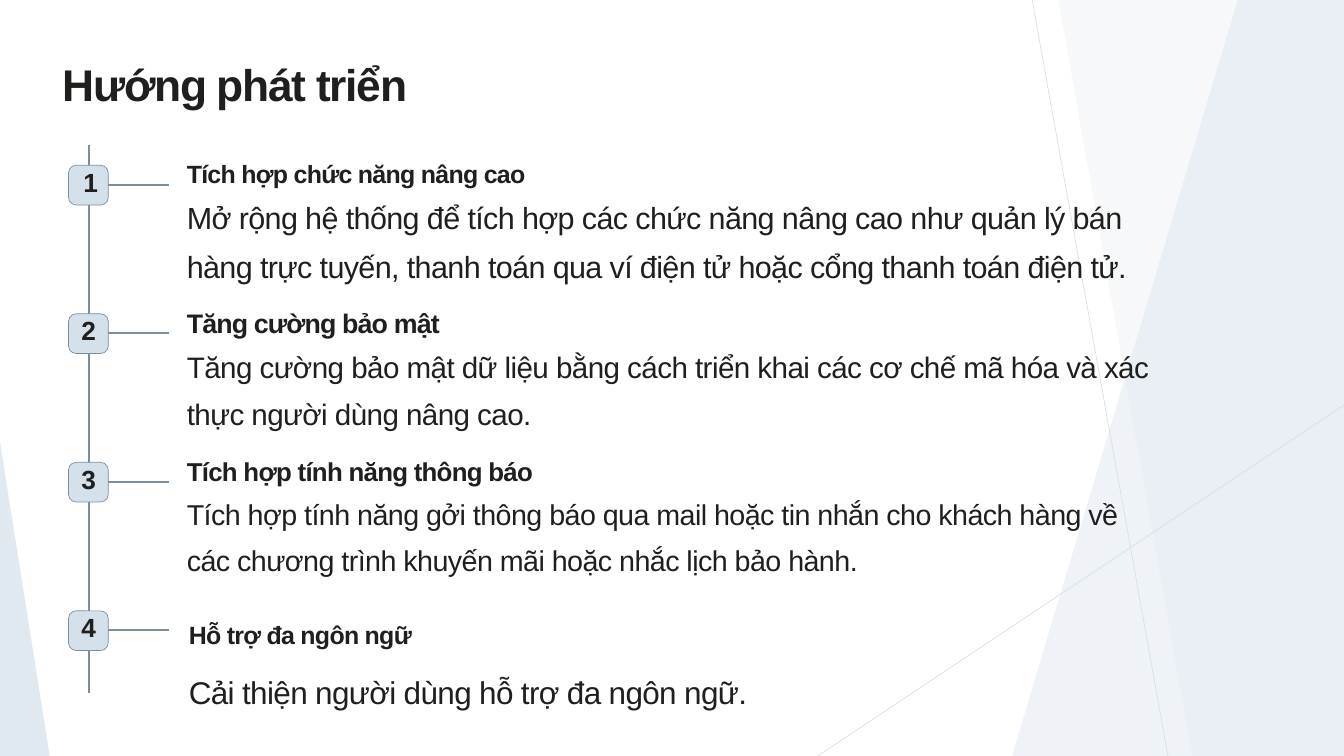
"""Build the "Hướng phát triển" timeline slide."""
from dataclasses import dataclass

from lxml import etree
from pptx import Presentation
from pptx.dml.color import RGBColor
from pptx.enum import shapes, text
from pptx.oxml import ns
from pptx.util import Pt

EMU_PER_PX = 9144
WIDTH, HEIGHT = 2000, 1125
FONT = "Arial"
INK = RGBColor(0x1F, 0x1F, 0x1E)
PALE = RGBColor(0xD4, 0xE0, 0xEA)
SLATE = RGBColor(0x7A, 0x8E, 0x9F)

AXIS_X = 132
FIRST_BADGE_TOP, BADGE_STEP = 246, 221
BADGE_LEFT, BADGE_SIZE = 102, 59
BRANCH_END = 251


@dataclass(frozen=True)
class Box:
    left: int
    top: int
    width: int
    height: int

    def emu(self) -> list[int]:
        """Return the box as EMU lengths."""
        return [px(n) for n in (self.left, self.top, self.width, self.height)]


@dataclass(frozen=True)
class Style:
    size: float
    leading: float
    tracking: int
    bold: bool = False
    align: text.PP_ALIGN = text.PP_ALIGN.LEFT


@dataclass(frozen=True)
class Facet:
    points: tuple[tuple[int, int], ...]
    opacity: int


@dataclass(frozen=True)
class Step:
    number_left: int
    number_width: int
    heading: str
    heading_box: Box
    heading_style: Style
    detail: str
    detail_box: Box
    detail_style: Style


TITLE_STYLE = Style(47.5, 59.4, -140, True)
NUMBER_STYLE = Style(28.1, 28.1, -90, True, text.PP_ALIGN.CENTER)

RAYS = (((1536, 0), (1738, HEIGHT)), ((WIDTH, 603), (1217, HEIGHT)))
FACETS = (
    Facet(((1842, 0), (WIDTH, 0), (WIDTH, HEIGHT), (1506, HEIGHT)), 36),
    Facet(((1575, 0), (WIDTH, 0), (WIDTH, HEIGHT), (1774, HEIGHT)), 20),
    Facet(((0, HEIGHT), (0, 658), (74, HEIGHT)), 70),
)
STEPS = (
    Step(124, 16,
         "Tích hợp chức năng nâng cao",
         Box(278, 235, 666, 52), Style(26.7, 33.1, -80, True),
         "Mở rộng hệ thống để tích hợp các chức năng nâng cao như quản lý bán "
         "hàng trực tuyến, thanh toán qua ví điện tử hoặc cổng thanh toán điện tử.",
         Box(278, 278, 1460, 147), Style(32.7, 52.4, -70)),
    Step(120, 24,
         "Tăng cường bảo mật",
         Box(278, 455, 633, 56), Style(28.7, 35.5, -90, True),
         "Tăng cường bảo mật dữ liệu bằng cách triển khai các cơ chế mã hóa và xác "
         "thực người dùng nâng cao.",
         Box(278, 501, 1460, 142), Style(31.7, 50.8, -60)),
    Step(120, 24,
         "Tích hợp tính năng thông báo",
         Box(278, 677, 651, 53), Style(27.7, 34.3, -80, True),
         "Tích hợp tính năng gởi thông báo qua mail hoặc tin nhắn cho khách hàng về "
         "các chương trình khuyến mãi hoặc nhắc lịch bảo hành.",
         Box(278, 722, 1428, 138), Style(30.7, 49.2, -60)),
    Step(119, 26,
         "Hỗ trợ đa ngôn ngữ",
         Box(281, 921, 561, 52), Style(26.7, 33.1, -80, True),
         "Cải thiện người dùng hỗ trợ đa ngôn ngữ.",
         Box(281, 983, 1079, 76), Style(33.7, 54, -70)),
)


def px(length: int) -> int:
    """Turn a length in px into EMU."""
    return length * EMU_PER_PX


def draw_line(slide, start: tuple[int, int], end: tuple[int, int],
              color: RGBColor, weight: float) -> None:
    """Draw a straight line without a shadow."""
    line = slide.shapes.add_connector(
        shapes.MSO_CONNECTOR.STRAIGHT, *(px(n) for n in (*start, *end)))
    line.line.color.rgb = color
    line.line.width = Pt(weight)
    etree.SubElement(line._element.spPr, ns.qn("a:effectLst"))


def draw_facet(slide, facet: Facet) -> None:
    """Draw a translucent polygon."""
    builder = slide.shapes.build_freeform(*facet.points[0], scale=EMU_PER_PX)
    builder.add_line_segments(facet.points[1:], close=True)
    shape = builder.convert_to_shape()
    shape.shadow.inherit = False
    shape.line.fill.background()
    shape.fill.solid()
    shape.fill.fore_color.rgb = PALE
    color = shape._element.spPr.find(".//" + ns.qn("a:srgbClr"))
    etree.SubElement(color, ns.qn("a:alpha"), val=str(facet.opacity * 1000))


def write(shape, content: str, style: Style) -> None:
    """Fill a text shape with one styled run."""
    frame = shape.text_frame
    frame.margin_left = frame.margin_right = 0
    frame.margin_top = frame.margin_bottom = 0
    frame.vertical_anchor = text.MSO_ANCHOR.TOP
    frame.word_wrap = True
    frame.auto_size = text.MSO_AUTO_SIZE.SHAPE_TO_FIT_TEXT
    paragraph = frame.paragraphs[0]
    paragraph.alignment = style.align
    paragraph.line_spacing = Pt(style.leading)
    run = paragraph.add_run()
    run.text = content
    run.font.name = FONT
    run.font.size = Pt(style.size)
    run.font.bold = style.bold
    run.font.color.rgb = INK
    run.font._element.set("spc", str(style.tracking))


def draw_title(slide, content: str, box: Box) -> None:
    """Place and write the title placeholder."""
    title = slide.shapes.title
    title.left, title.top, title.width, title.height = box.emu()
    write(title, content, TITLE_STYLE)


def draw_text(slide, content: str, box: Box, style: Style) -> None:
    """Add a text box."""
    write(slide.shapes.add_textbox(*box.emu()), content, style)


def draw_badge(slide, top: int) -> None:
    """Draw the rounded square behind a step number."""
    box = Box(BADGE_LEFT, top, BADGE_SIZE, BADGE_SIZE)
    badge = slide.shapes.add_shape(shapes.MSO_SHAPE.ROUNDED_RECTANGLE, *box.emu())
    badge.adjustments[0] = 0.19
    badge.shadow.inherit = False
    badge.fill.solid()
    badge.fill.fore_color.rgb = PALE
    badge.line.color.rgb = SLATE
    badge.line.width = Pt(0.75)


def draw_step(slide, number: int, step: Step) -> None:
    """Draw one numbered step of the timeline."""
    top = FIRST_BADGE_TOP + (number - 1) * BADGE_STEP
    middle = top + BADGE_SIZE // 2
    draw_line(slide, (BADGE_LEFT + BADGE_SIZE, middle), (BRANCH_END, middle), SLATE, 2)
    draw_badge(slide, top)
    draw_text(slide, str(number),
              Box(step.number_left, top + 9, step.number_width, 47), NUMBER_STYLE)
    draw_text(slide, step.heading, step.heading_box, step.heading_style)
    draw_text(slide, step.detail, step.detail_box, step.detail_style)


def main() -> None:
    """Build and save the presentation."""
    presentation = Presentation()
    presentation.slide_width, presentation.slide_height = px(WIDTH), px(HEIGHT)
    slide = presentation.slides.add_slide(
        presentation.slide_layouts.get_by_name("Title Only"))
    for start, end in RAYS:
        draw_line(slide, start, end, PALE, 0.75)
    for facet in FACETS:
        draw_facet(slide, facet)
    draw_title(slide, "Hướng phát triển", Box(93, 81, 661, 91))
    draw_line(slide, (AXIS_X, 216), (AXIS_X, 1031), SLATE, 2)
    for number, step in enumerate(STEPS, start=1):
        draw_step(slide, number, step)
    presentation.save("out.pptx")


if __name__ == "__main__":
    main()
